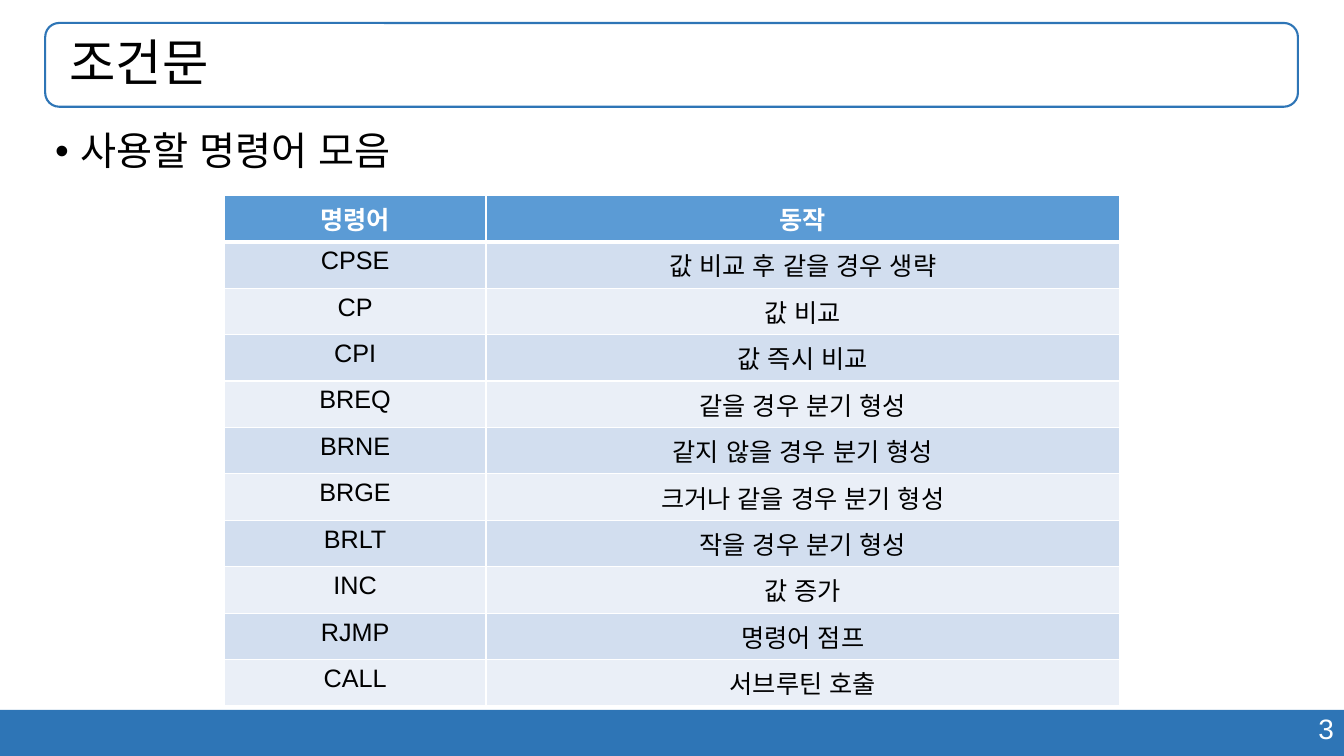
from lxml import etree
from pptx import Presentation
from pptx.dml.color import RGBColor
from pptx.enum.lang import MSO_LANGUAGE_ID as LANG
from pptx.enum.shapes import MSO_SHAPE as SHAPE
from pptx.enum.text import MSO_ANCHOR as ANCHOR, MSO_AUTO_SIZE as FIT, PP_ALIGN as ALIGN
from pptx.oxml.ns import qn
from pptx.util import Cm, Pt

BLUE, WHITE, BLACK = "2E75B6", "FFFFFF", "000000"
HEADER, BANDS = "5B9BD5", ("D2DEEF", "EAEFF7")
TITLE_BOX = (1.14, 0.58, 31.57, 2.11)
COMMANDS = [
    ("명령어", "동작"),
    ("CPSE", "값 비교 후 같을 경우 생략"),
    ("CP", "값 비교"),
    ("CPI", "값 즉시 비교"),
    ("BREQ", "같을 경우 분기 형성"),
    ("BRNE", "같지 않을 경우 분기 형성"),
    ("BRGE", "크거나 같을 경우 분기 형성"),
    ("BRLT", "작을 경우 분기 형성"),
    ("INC", "값 증가"),
    ("RJMP", "명령어 점프"),
    ("CALL", "서브루틴 호출"),
]


def rgb(value):
    """Turn a hex string into a colour."""
    return RGBColor.from_string(value)


def set_attrs(obj, values):
    """Set each attribute of an object from a dict."""
    for name, value in values.items():
        setattr(obj, name, value)


def write(p, text, size, color=BLACK, bold=False, **layout):
    """Put one formatted run in a paragraph."""
    set_attrs(p, layout)
    r = p.add_run()
    r.text = text
    set_attrs(r.font, {"name": "Arial", "size": Pt(size), "bold": bold,
                       "language_id": LANG.KOREAN})
    r.font.color.rgb = rgb(color)


def add_panel(s, kind, box, fill=None, line=None):
    """Add a plain preset shape."""
    sp = s.shapes.add_shape(kind, *map(Cm, box))
    sp.shadow.inherit = False
    if fill:
        sp.fill.solid()
        sp.fill.fore_color.rgb = rgb(fill)
    else:
        sp.fill.background()
    if line:
        sp.line.color.rgb = rgb(line)
        sp.line.width = Pt(1.5)
    else:
        sp.line.fill.background()


def add_text(s, box):
    """Add a wrapping text box and return its first paragraph."""
    tf = s.shapes.add_textbox(*map(Cm, box)).text_frame
    tf.word_wrap = True
    return tf.paragraphs[0]


def set_title(s, text):
    """Place and format the title placeholder."""
    sp = s.shapes.title
    set_attrs(sp, dict(zip(("left", "top", "width", "height"), map(Cm, TITLE_BOX))))
    tf = sp.text_frame
    set_attrs(tf, {"vertical_anchor": ANCHOR.MIDDLE, "auto_size": FIT.NONE,
                   "word_wrap": True, "margin_left": Cm(0.61)})
    write(tf.paragraphs[0], text, 36, alignment=ALIGN.LEFT, line_spacing=0.9)


def add_bullet(p):
    """Give a paragraph a hanging round bullet."""
    pPr = p._p.get_or_add_pPr()
    pPr.set("marL", str(Cm(0.64)))
    pPr.set("indent", str(-Cm(0.64)))
    etree.SubElement(pPr, qn("a:buFont")).set("typeface", "Arial")
    etree.SubElement(pPr, qn("a:buChar")).set("char", "•")


def set_borders(cell, bottom):
    """Draw white borders round a cell, with a given bottom width."""
    tcPr = cell._tc.get_or_add_tcPr()
    for side, width in (("L", 1), ("R", 1), ("T", 1), ("B", bottom)):
        ln = etree.SubElement(tcPr, qn(f"a:ln{side}"), w=str(Pt(width)))
        fill = etree.SubElement(ln, qn("a:solidFill"))
        etree.SubElement(fill, qn("a:srgbClr"), val=WHITE)


def add_command_table(s, rows, widths, left, top, row_height):
    """Add the table with a header row and banded rows."""
    frame = s.shapes.add_table(len(rows), len(widths), Cm(left), Cm(top),
                               Cm(sum(widths)), Cm(row_height * len(rows)))
    table = frame.table
    for column, width in zip(table.columns, widths):
        column.width = Cm(width)
    for i, row in enumerate(rows):
        head = i == 0
        for j, text in enumerate(row):
            cell = table.cell(i, j)
            set_borders(cell, 3 if head else 1)
            cell.fill.solid()
            cell.fill.fore_color.rgb = rgb(HEADER if head else BANDS[(i - 1) % 2])
            write(cell.text_frame.paragraphs[0], text, 18,
                  WHITE if head else BLACK, head, alignment=ALIGN.CENTER)


def main():
    """Build the slide and save it."""
    prs = Presentation()
    set_attrs(prs, {"slide_width": Cm(33.87), "slide_height": Cm(19.05)})
    s = prs.slides.add_slide(prs.slide_layouts[5])
    add_panel(s, SHAPE.RECTANGLE, (0, 17.89, 33.87, 1.16), fill=BLUE)
    add_panel(s, SHAPE.ROUNDED_RECTANGLE, TITLE_BOX, line=BLUE)
    write(add_text(s, (23.96, 17.8, 9.91, 1.11)), "3", 20, WHITE, alignment=ALIGN.RIGHT)
    set_title(s, "조건문")
    p = add_text(s, (1.14, 3.2, 31.57, 14.05))
    add_bullet(p)
    write(p, "사용할 명령어 모음", 28, line_spacing=0.9)
    add_command_table(s, COMMANDS, (6.6, 15.96), 5.65, 4.92, 1.17)
    prs.save("out.pptx")


if __name__ == "__main__":
    main()
